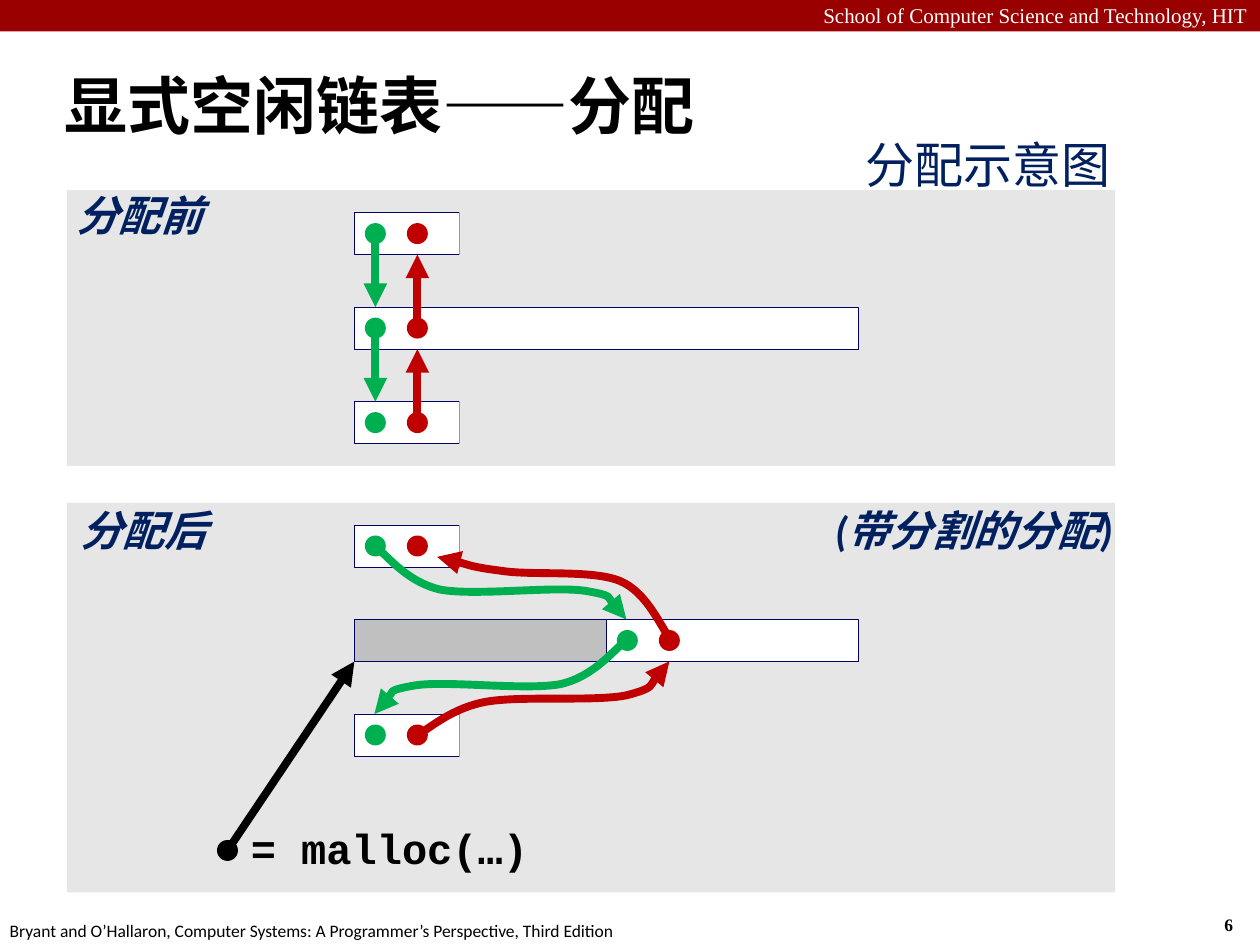
"""Build the slide on allocation from an explicit free list."""
from dataclasses import dataclass, field
from typing import Any

from lxml import etree
from pptx import Presentation, util as u
from pptx.dml import color
from pptx.enum import shapes as kinds, text
from pptx.oxml import ns

BANNER = color.RGBColor(0x99, 0x00, 0x00)
PANEL = color.RGBColor(0xE6, 0xE6, 0xE6)
ALLOCATED = color.RGBColor(0xC0, 0xC0, 0xC0)
WHITE = color.RGBColor(0xFF, 0xFF, 0xFF)
BLACK = color.RGBColor(0, 0, 0)
BORDER = color.RGBColor(0, 0, 0x66)
NAVY = color.RGBColor(0, 0x20, 0x60)
NEXT = color.RGBColor(0, 0xB0, 0x50)
PREV = color.RGBColor(0xC0, 0, 0)

LEFT, CELL, DOT, ROW_GAP = 202.5, 24, 12, 54
NEXT_X, PREV_X = LEFT + CELL / 2, LEFT + CELL * 1.5
SMALL, LARGE = 60, 288
BEFORE_ROWS = [121.5 + ROW_GAP * row for row in range(3)]
AFTER_ROWS = [300 + ROW_GAP * row for row in range(3)]
RECT, OVAL = kinds.MSO_SHAPE.RECTANGLE, kinds.MSO_SHAPE.OVAL

Point = tuple[float, float]


@dataclass(frozen=True)
class Area:
    left: float
    top: float
    width: float
    height: float
    fill: color.RGBColor
    border: color.RGBColor | None = None
    preset: Any = RECT


@dataclass(frozen=True)
class Label:
    words: str
    left: float
    top: float
    width: float
    height: float
    tint: color.RGBColor
    font: dict[str, Any]
    frame: dict[str, Any] = field(default_factory=dict)
    paragraph: dict[str, Any] = field(default_factory=dict)


@dataclass(frozen=True)
class Link:
    tint: color.RGBColor
    points: list[Point]


def apply(target: Any, values: dict[str, Any]) -> None:
    """Set every named attribute on the target."""
    for name, value in values.items():
        setattr(target, name, value)


def draw_area(canvas: Any, area: Area) -> None:
    """Draw a filled preset shape."""
    shape = canvas.add_shape(area.preset, u.Pt(area.left), u.Pt(area.top),
                             u.Pt(area.width), u.Pt(area.height))
    shape.shadow.inherit = False
    shape.fill.solid()
    shape.fill.fore_color.rgb = area.fill
    if area.border is None:
        shape.line.fill.background()
    else:
        shape.line.color.rgb = area.border
        shape.line.width = u.Pt(0.25)


def draw_label(canvas: Any, label: Label) -> None:
    """Write one line of formatted text."""
    box = canvas.add_textbox(u.Pt(label.left), u.Pt(label.top),
                             u.Pt(label.width), u.Pt(label.height))
    apply(box.text_frame, label.frame)
    paragraph = box.text_frame.paragraphs[0]
    apply(paragraph, label.paragraph)
    run = paragraph.add_run()
    run.text = label.words
    apply(run.font, label.font)
    run.font.color.rgb = label.tint


def finish_link(link_shape: Any, tint: color.RGBColor) -> None:
    """Give a link its weight, colour and arrowhead."""
    link_shape.line.color.rgb = tint
    link_shape.line.width = u.Pt(4.5)
    etree.SubElement(link_shape.line._get_or_add_ln(), ns.qn("a:tailEnd"), type="triangle")


def draw_arrow(canvas: Any, link: Link) -> None:
    """Draw a straight arrow between two points."""
    ends = [u.Pt(value) for point in link.points for value in point]
    arrow = canvas.add_connector(kinds.MSO_CONNECTOR.STRAIGHT, *ends)
    finish_link(arrow, link.tint)
    etree.SubElement(arrow._element.spPr, ns.qn("a:effectLst"))


def draw_curve(canvas: Any, link: Link) -> None:
    """Draw an arrow along cubic segments, three points to a segment."""
    start, *rest = [(u.Pt(x), u.Pt(y)) for x, y in link.points]
    builder = canvas.build_freeform(*start)
    builder.add_line_segments(rest, close=False)
    curve = builder.convert_to_shape()
    curve.shadow.inherit = False
    curve.fill.background()
    finish_link(curve, link.tint)
    steps = list(curve._element.iter(ns.qn("a:lnTo")))
    outline = steps[0].getparent()
    for first in range(0, len(steps), 3):
        cubic = etree.SubElement(outline, ns.qn("a:cubicBezTo"))
        for step in steps[first:first + 3]:
            cubic.append(step[0])
            outline.remove(step)


def dot(x: float, row: float, tint: color.RGBColor) -> Area:
    """Return a pointer dot centred in a block row."""
    return Area(x - DOT / 2, row + (CELL - DOT) / 2, DOT, DOT, tint, preset=OVAL)


def block(row: float, width: float, left: float = LEFT, fill: color.RGBColor = WHITE) -> Area:
    """Return a memory block in a row."""
    return Area(left, row, width, CELL, fill, BORDER)


def edge(row: float) -> Area:
    """Return the open right edge of a small block."""
    return Area(LEFT + SMALL, row - 6, CELL, 36, PANEL)


HEADING = {"name": "Calibri", "size": u.Pt(24), "bold": True, "italic": True}
CODE = {"name": "Courier New", "size": u.Pt(24), "bold": True}
INSETS = {f"margin_{side}": u.Pt(3.6) for side in ("left", "top", "right", "bottom")}
TIGHT = {**INSETS, "word_wrap": False}
WRAPPED = {**INSETS, "word_wrap": True}
CENTRED = {"alignment": text.PP_ALIGN.CENTER, "line_spacing": 0.9}
RIGHT = {"alignment": text.PP_ALIGN.RIGHT}

PAGE_LABELS = [
    Label("6", 692.6, 519, 26.6, 19.4, BLACK,
          {"name": "Times New Roman", "size": u.Pt(10), "bold": True}, {"word_wrap": False}),
    Label("Bryant and O’Hallaron, Computer Systems: A Programmer’s Perspective, Third Edition",
          -1.5, 522, 366, 19.4, BLACK, {"name": "Calibri", "size": u.Pt(10)}, {"word_wrap": False}),
    Label("School of Computer Science and Technology, HIT", 0, -2, 720, 21.6, WHITE,
          {"name": "Times New Roman", "size": u.Pt(12)}, {"word_wrap": True}, RIGHT),
    Label("显式空闲链表——分配", 29.5, 29.5, 684.7, 60, BLACK,
          {"name": "Calibri", "size": u.Pt(36), "bold": True},
          {"word_wrap": True, "vertical_anchor": text.MSO_ANCHOR.MIDDLE}),
]
BEFORE_LABEL = Label("分配前", 39.6, 108, 80.6, 33.8, NAVY, HEADING, TIGHT, CENTRED)
DIAGRAM_LABEL = Label("分配示意图", 356.4, 73.5, 285, 41, NAVY,
                      {"name": "Noto Sans CJK SC", "size": u.Pt(28)}, {"word_wrap": True}, RIGHT)
AFTER_LABELS = [
    Label("分配后", 41.8, 288, 80.6, 33.8, NAVY, HEADING, TIGHT, CENTRED),
    Label("= malloc(…)", 139, 470, 167, 33.8, BLACK, CODE, TIGHT, CENTRED),
    Label("(带分割的分配)", 472.3, 288, 168.5, 33.8, NAVY, HEADING, WRAPPED, CENTRED),
]
NEXT_CURVE = [(214, 312), (220.3, 316), (231.8, 332.6), (252, 337), (272.2, 340.6),
              (316.8, 334.8), (334.8, 337.7), (352, 340.6), (353.5, 350.6), (358, 354)]
AFTER_CURVES = [
    Link(NEXT, NEXT_CURVE),
    Link(NEXT, [(572 - x, y + ROW_GAP) for x, y in NEXT_CURVE]),
    Link(PREV, [(383, 365), (378, 359.3), (370, 338.4), (354.2, 332), (338.4, 325.4),
                (303.8, 329), (286.6, 326.2), (269.3, 324), (257.8, 319.7), (249.8, 318.2)]),
    Link(PREV, [(238.5, 420), (244.8, 416.9), (257.8, 404.6), (278, 401), (298, 397.5),
                (340, 401), (357.8, 397.4), (375, 393), (377.3, 382.3), (382.5, 378)]),
]


def draw_before(canvas: Any) -> None:
    """Draw the list before allocation."""
    first, middle, last = BEFORE_ROWS
    areas = [Area(38.25, 108.75, 599, 157.5, PANEL), block(middle, LARGE),
             block(first, SMALL), block(last, SMALL), edge(first), edge(last)]
    areas += [dot(x, row, tint) for row in BEFORE_ROWS
              for x, tint in ((NEXT_X, NEXT), (PREV_X, PREV))]
    for area in areas:
        draw_area(canvas, area)
    for upper, lower in ((first, middle), (middle, last)):
        draw_arrow(canvas, Link(NEXT, [(NEXT_X, upper + CELL / 2), (NEXT_X, lower)]))
        draw_arrow(canvas, Link(PREV, [(PREV_X, lower + CELL / 2), (PREV_X, upper + CELL)]))
    draw_label(canvas, BEFORE_LABEL)


def draw_after(canvas: Any) -> None:
    """Draw the list after a split allocation."""
    first, middle, last = AFTER_ROWS
    half = LARGE / 2
    areas = [Area(38.25, 287.25, 599, 222.75, PANEL), block(first, SMALL), block(last, SMALL),
             edge(first), edge(last), block(middle, half, LEFT + half),
             block(middle, half, fill=ALLOCATED), dot(130, 474, BLACK)]
    areas += [dot(x + shift, row, tint)
              for row, shift in ((first, 0), (middle, half), (last, 0))
              for x, tint in ((NEXT_X, NEXT), (PREV_X, PREV))]
    for area in areas:
        draw_area(canvas, area)
    draw_arrow(canvas, Link(BLACK, [(130, 486), (LEFT, middle + CELL)]))
    for curve in AFTER_CURVES:
        draw_curve(canvas, curve)
    for label in AFTER_LABELS:
        draw_label(canvas, label)


def main() -> None:
    """Assemble and save the slide."""
    deck = Presentation()
    apply(deck, {"slide_width": u.Pt(720), "slide_height": u.Pt(540)})
    slide = deck.slides.add_slide(deck.slide_layouts[6])
    draw_area(slide.shapes, Area(0, 0, 720, 18, BANNER))
    for label in PAGE_LABELS:
        draw_label(slide.shapes, label)
    draw_before(slide.shapes)
    draw_after(slide.shapes.add_group_shape().shapes)
    draw_label(slide.shapes, DIAGRAM_LABEL)
    deck.save("out.pptx")


if __name__ == "__main__":
    main()
